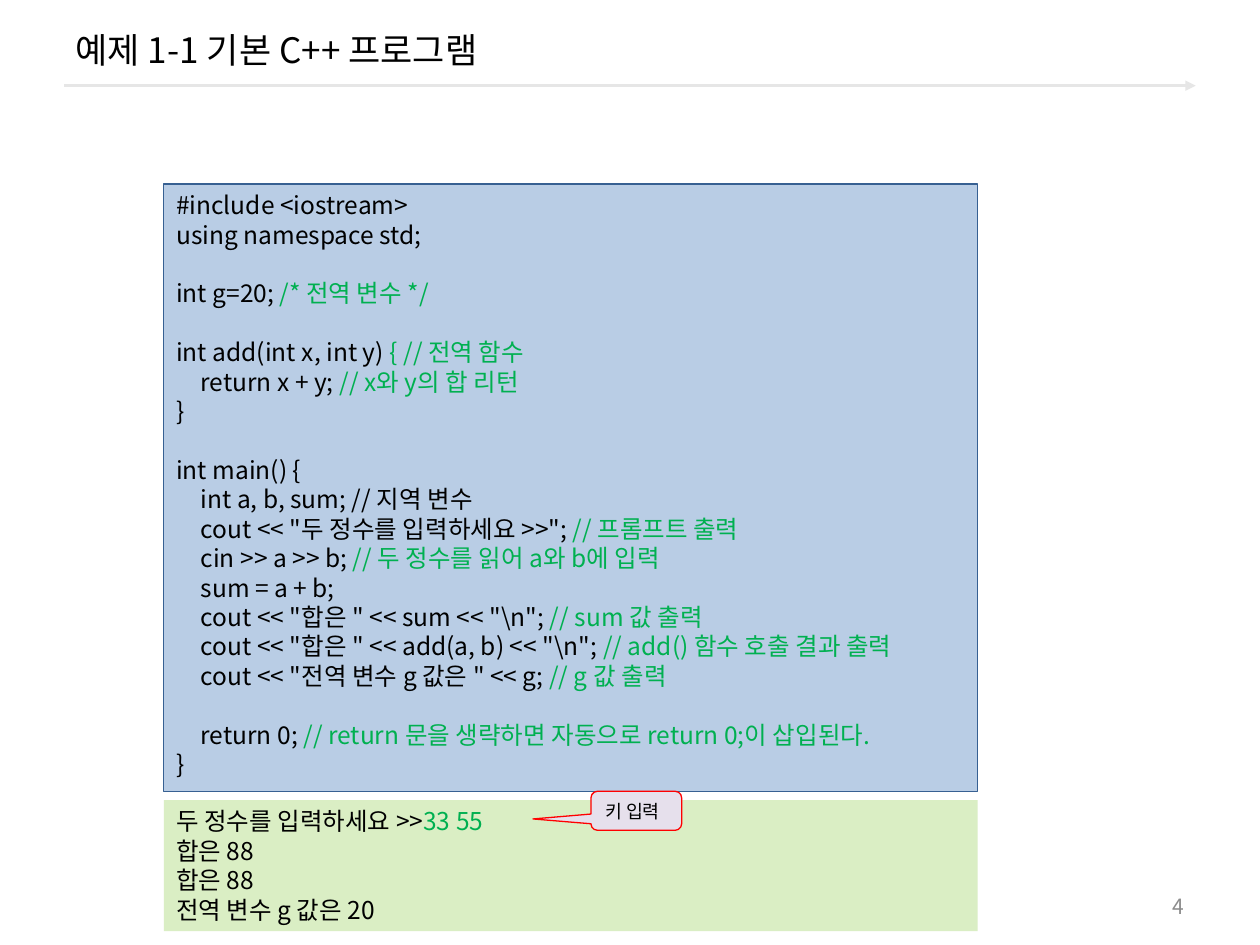
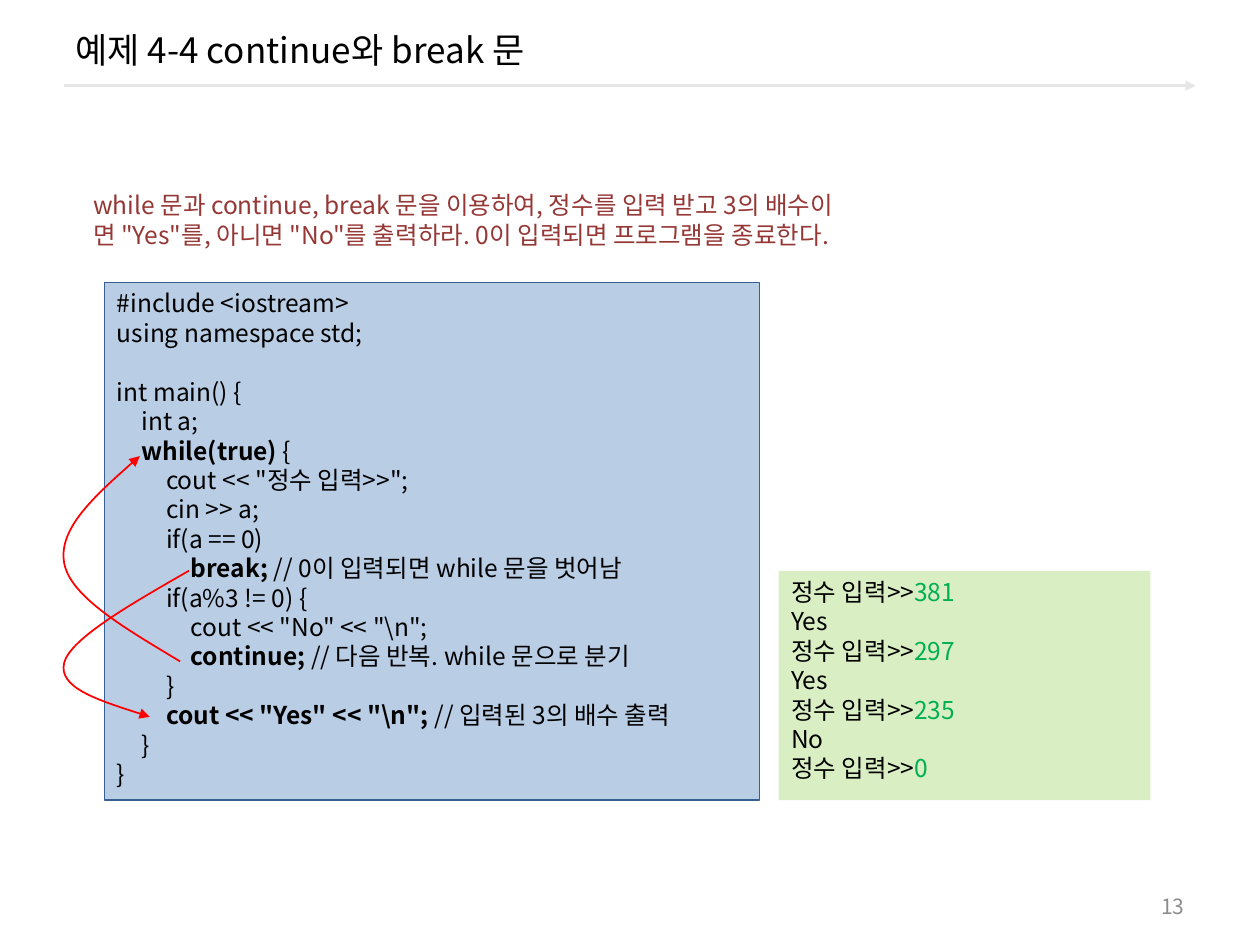
from pptx import Presentation
from pptx.dml.color import RGBColor
from pptx.enum.shapes import MSO_CONNECTOR as CONN, MSO_SHAPE as SHAPE
from pptx.enum.text import MSO_ANCHOR as ANCHOR, PP_ALIGN as ALIGN
from pptx.oxml.ns import qn
from pptx.util import Inches, Pt
from lxml.etree import SubElement

FONT = "Noto Sans CJK KR"
BLACK = RGBColor(0x00, 0x00, 0x00)
GREEN = RGBColor(0x00, 0xB0, 0x50)
MAROON = RGBColor(0x95, 0x37, 0x35)
GRAY = RGBColor(0x8C, 0x8C, 0x8C)
RULE = RGBColor(0xE6, 0xE6, 0xE6)
RED = RGBColor(0xFF, 0x00, 0x00)
CODE_FILL = RGBColor(0xB9, 0xCD, 0xE5)
CODE_LINE = RGBColor(0x37, 0x60, 0x92)
OUTPUT_FILL = RGBColor(0xDA, 0xEE, 0xC4)
CALLOUT_FILL = RGBColor(0xE6, 0xE0, 0xEC)

TEXT_SIZE = 14
LINE_PITCH = Pt(16.8)
INDENT = Inches(0.195)


def note(text):
    return text, GREEN, False


def bold(text):
    return text, BLACK, True


def line(level, *runs):
    return level, runs


BLANK = None

ADD_CODE = [
    line(0, "#include <iostream>"),
    line(0, "using namespace std;"),
    BLANK,
    line(0, "int g=20; ", note("/* 전역 변수 */")),
    BLANK,
    line(0, "int add(int x, int y) ", note("{ // 전역 함수")),
    line(1, "return x + y; ", note("// x와 y의 합 리턴")),
    line(0, "}"),
    BLANK,
    line(0, "int main() {"),
    line(1, "int a, b, sum; // 지역 변수"),
    line(1, 'cout << "두 정수를 입력하세요 >>"; ', note("// 프롬프트 출력")),
    line(1, "cin >> a >> b; ", note("// 두 정수를 읽어 a와 b에 입력")),
    line(1, "sum = a + b;"),
    line(1, r'cout << "합은 " << sum << "\n"; ', note("// sum 값 출력")),
    line(1, r'cout << "합은 " << add(a, b) << "\n"; ',
         note("// add() 함수 호출 결과 출력")),
    line(1, 'cout << "전역 변수 g 값은 " << g; ', note("// g 값 출력")),
    BLANK,
    line(1, "return 0; ",
         note("// return 문을 생략하면 자동으로 return 0;이 삽입된다.")),
    line(0, "}"),
]
ADD_OUTPUT = [
    line(0, "두 정수를 입력하세요 >>", note("33 55")),
    line(0, "합은 88"),
    line(0, "합은 88"),
    line(0, "전역 변수 g 값은 20"),
]

LOOP_TASK = [
    "while 문과 continue, break 문을 이용하여, 정수를 입력 받고 3의 배수이",
    '면 "Yes"를, 아니면 "No"를 출력하라. 0이 입력되면 프로그램을 종료한다.',
]
LOOP_CODE = [
    line(0, "#include <iostream>"),
    line(0, "using namespace std;"),
    BLANK,
    line(0, "int main() {"),
    line(1, "int a;"),
    line(1, bold("while(true)"), " {"),
    line(2, 'cout << "정수 입력>>";'),
    line(2, "cin >> a;"),
    line(2, "if(a == 0)"),
    line(3, bold("break; "), "// 0이 입력되면 while 문을 벗어남"),
    line(2, "if(a%3 != 0) {"),
    line(3, r'cout << "No" << "\n";'),
    line(3, bold("continue; "), "// 다음 반복. while 문으로 분기"),
    line(2, "}"),
    line(2, bold(r'cout << "Yes" << "\n"; '), "// 입력된 3의 배수 출력"),
    line(1, "}"),
    line(0, "}"),
]
LOOP_PROMPT = "정수 입력>>"
LOOP_OUTPUT = [
    line(0, LOOP_PROMPT, note("381")),
    line(0, "Yes"),
    line(0, LOOP_PROMPT, note("297")),
    line(0, "Yes"),
    line(0, LOOP_PROMPT, note("235")),
    line(0, "No"),
    line(0, LOOP_PROMPT, note("0")),
]

CONTINUE_CURVE = [(0.6, 3.01), (0.17, 2.75), (-0.27, 2.5), (-0.32, 2.23),
                  (-0.37, 1.96), (-0.05, 1.67), (0.28, 1.38)]
BREAK_CURVE = [(0.67, 2.29), (0.2, 2.56), (-0.27, 2.83), (-0.32, 3.02),
               (-0.37, 3.22), (-0.01, 3.33), (0.36, 3.45)]


def add_run(p, text, color=BLACK, is_bold=False, size=TEXT_SIZE):
    r = p.add_run()
    r.text = text
    r.font.name = FONT
    r.font.size = Pt(size)
    r.font.bold = is_bold
    r.font.color.rgb = color
    SubElement(r.font._element, qn("a:ea"), typeface=FONT)


def set_text(sp, text, color=BLACK, size=TEXT_SIZE, align=ALIGN.LEFT,
             anchor=ANCHOR.MIDDLE, wrap=True):
    tf = sp.text_frame
    tf.word_wrap = wrap
    tf.vertical_anchor = anchor
    p = tf.paragraphs[0]
    p.alignment = align
    add_run(p, text, color, size=size)
    return p


def add_arrowhead(sp):
    SubElement(sp.line._get_or_add_ln(), qn("a:tailEnd"), type="triangle")


def add_box(s, box, fill, border=None, kind=SHAPE.RECTANGLE):
    sp = s.shapes.add_shape(kind, *map(Inches, box))
    sp.shadow.inherit = False
    sp.fill.solid()
    sp.fill.fore_color.rgb = fill
    if border is None:
        sp.line.fill.background()
    else:
        sp.line.color.rgb = border
        sp.line.width = Pt(0.75)
    return sp


def add_listing(s, box, lines, fill, border=None):
    tf = add_box(s, box, fill, border).text_frame
    tf.word_wrap = True
    tf.vertical_anchor = ANCHOR.TOP
    p, gap = tf.paragraphs[0], 0
    for item in lines:
        if item is BLANK:
            gap += LINE_PITCH
            continue
        level, runs = item
        if p.runs:
            p = tf.add_paragraph()
        p.alignment = ALIGN.LEFT
        p.line_spacing = LINE_PITCH
        p.space_before = Pt(gap / Pt(1))
        p._p.get_or_add_pPr().set("marL", str(level * INDENT))
        for run in runs:
            add_run(p, *((run,) if isinstance(run, str) else run))
        gap = 0


def add_code(s, box, lines):
    add_listing(s, box, lines, CODE_FILL, CODE_LINE)


def add_output(s, box, lines):
    add_listing(s, box, lines, OUTPUT_FILL)


def add_callout(s, box, text):
    sp = add_box(s, box, CALLOUT_FILL, RED, SHAPE.ROUNDED_RECTANGULAR_CALLOUT)
    for i, value in enumerate((-1.14, 0.21, 0.17)):
        sp.adjustments[i] = value
    set_text(sp, text, size=10.5, wrap=False)


def add_task(s, box, rows):
    sp = s.shapes.add_textbox(*map(Inches, box))
    p = set_text(sp, rows[0], MAROON, anchor=ANCHOR.TOP)
    p.line_spacing = LINE_PITCH
    for row in rows[1:]:
        p.add_line_break()
        add_run(p, row, MAROON)


def round_segments(sp):
    outline = next(sp._element.iter(qn("a:path")))
    segments = outline.findall(qn("a:lnTo"))
    for i in range(0, len(segments), 3):
        curve = SubElement(outline, qn("a:cubicBezTo"))
        for segment in segments[i:i + 3]:
            curve.append(segment[0])
            outline.remove(segment)


def add_jump_arrow(s, box, controls):
    left, top = box[:2]
    points = [(Inches(left + x), Inches(top + y)) for x, y in controls]
    fb = s.shapes.build_freeform(*points[0])
    fb.add_line_segments(points[1:], close=False)
    sp = fb.convert_to_shape()
    round_segments(sp)
    sp.shadow.inherit = False
    sp.fill.background()
    sp.line.color.rgb = RED
    sp.line.width = Pt(1)
    add_arrowhead(sp)


def add_frame(prs, title, number):
    s = prs.slides.add_slide(prs.slide_layouts[5])
    rule = s.shapes.add_connector(CONN.STRAIGHT, Inches(0.51), Inches(0.68),
                                  Inches(9.49), Inches(0.68))
    rule.line.color.rgb = RULE
    rule.line.width = Pt(1.5)
    add_arrowhead(rule)
    SubElement(rule._element.spPr, qn("a:effectLst"))

    sp = s.shapes.title
    sp.left, sp.top, sp.width, sp.height = map(Inches, (0.5, 0.07, 9, 0.64))
    set_text(sp, title, size=20)

    sp = s.shapes.add_textbox(*map(Inches, (7.17, 7.03, 2.33, 0.32)))
    set_text(sp, str(number), GRAY, 12, ALIGN.RIGHT)
    return s


def add_function_slide(prs):
    s = add_frame(prs, "예제 1-1 기본 C++ 프로그램", 4)
    add_code(s, (1.3, 1.46, 6.46, 4.82), ADD_CODE)
    add_output(s, (1.3, 6.35, 6.46, 1.04), ADD_OUTPUT)
    add_callout(s, (4.69, 6.28, 0.72, 0.31), "키 입력")


def add_loop_slide(prs):
    s = add_frame(prs, "예제 4-4 continue와 break 문", 13)
    add_task(s, (0.64, 1.46, 7.51, 0.57), LOOP_TASK)
    code_box = (0.83, 2.24, 5.2, 4.11)
    add_code(s, code_box, LOOP_CODE)
    add_output(s, (6.18, 4.53, 2.95, 1.82), LOOP_OUTPUT)
    for controls in (CONTINUE_CURVE, BREAK_CURVE):
        add_jump_arrow(s, code_box, controls)


def main():
    prs = Presentation()
    prs.slide_width, prs.slide_height = Inches(10), Inches(7.5)
    add_function_slide(prs)
    add_loop_slide(prs)
    prs.save("out.pptx")


if __name__ == "__main__":
    main()
